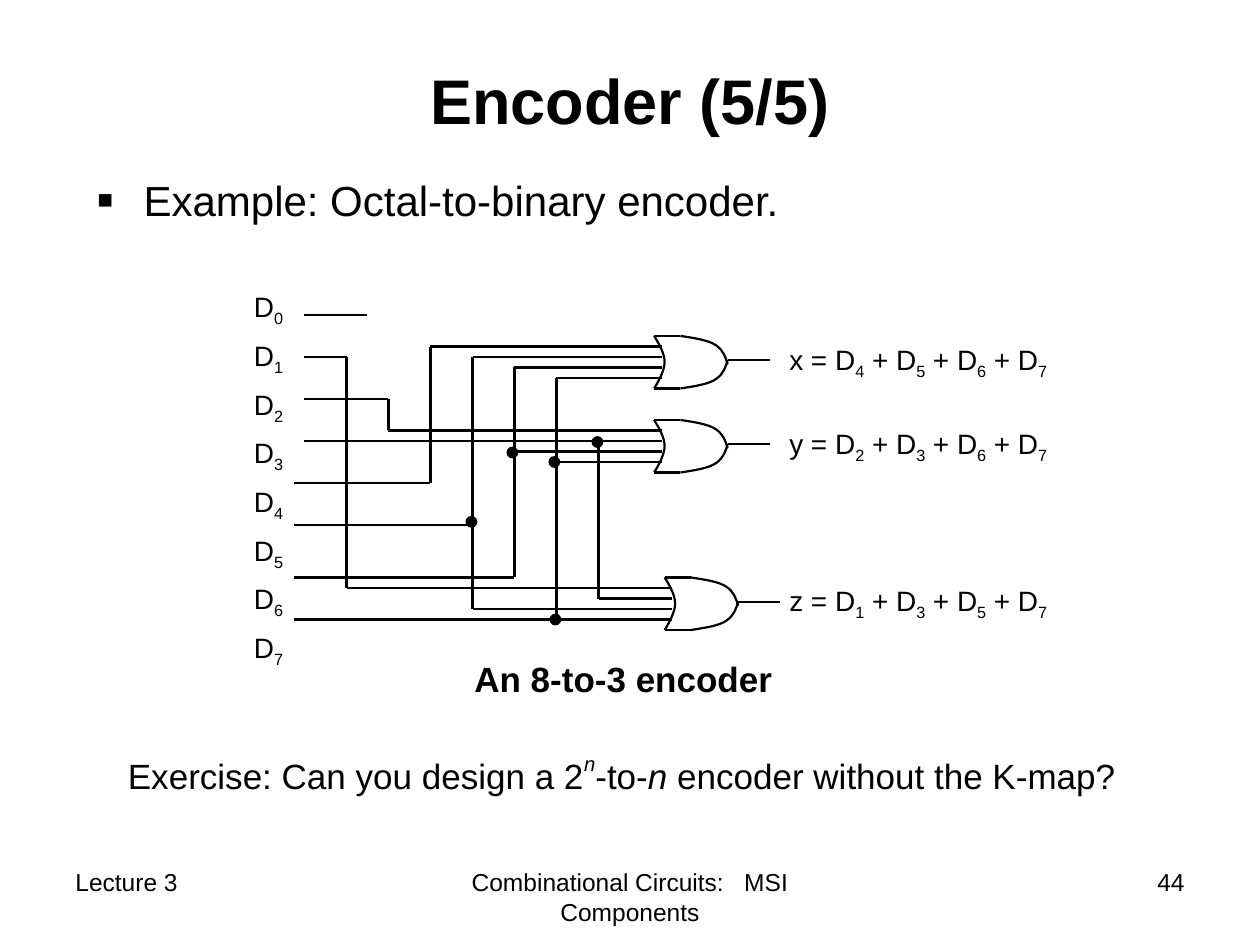
"""Build the octal-to-binary encoder slide with its gate circuit."""
import itertools

import lxml.etree
import pptx
import pptx.dml.color
import pptx.enum.shapes
import pptx.enum.text
import pptx.oxml.ns
import pptx.util

PX = 7620
THEME = {
    "ink": pptx.dml.color.RGBColor(0, 0, 0),
    "font": "Arial",
    "title": 36,
    "body": 24,
    "note": 20,
    "label": 16,
    "footer": 14,
    "wire": 1.25,
    "dot": 0.75,
}
ALIGN = pptx.enum.text.PP_ALIGN
SUBSCRIPT = {"baseline": -25000}


def add_text(slide, box, size, paragraphs, align=ALIGN.LEFT, gap=0, bold=False):
    shape = slide.shapes.add_textbox(*(value * PX for value in box))
    frame = shape.text_frame
    frame.word_wrap = True
    for index, parts in enumerate(paragraphs):
        paragraph = frame.paragraphs[0] if index == 0 else frame.add_paragraph()
        paragraph.alignment = align
        if index:
            paragraph.space_before = pptx.util.Pt(gap)
        for text, extra in parts:
            run = paragraph.add_run()
            run.text = text
            formats = {"name": THEME["font"], "size": pptx.util.Pt(THEME[size]),
                       "bold": bold, "italic": extra.get("italic", False)}
            for name, value in formats.items():
                setattr(run.font, name, value)
            run.font.color.rgb = THEME["ink"]
            if "baseline" in extra:
                run.font._element.set("baseline", str(extra["baseline"]))
    return frame


def add_curve(slide, left, top, points):
    vertices = [((left + x) * PX, (top + y) * PX) for x, y in points]
    builder = slide.shapes.build_freeform(*vertices[0])
    builder.add_line_segments(vertices[1:], close=False)
    curve = builder.convert_to_shape()
    segments = list(curve._element.iter(pptx.oxml.ns.qn("a:lnTo")))
    for first in range(0, len(segments), 3):
        bezier = lxml.etree.Element(pptx.oxml.ns.qn("a:cubicBezTo"))
        segments[first].addprevious(bezier)
        for segment in segments[first:first + 3]:
            bezier.append(segment[0])
            segment.getparent().remove(segment)
    curve.shadow.inherit = False
    curve.fill.background()
    curve.line.color.rgb = THEME["ink"]
    curve.line.width = pptx.util.Pt(THEME["wire"])


presentation = pptx.Presentation()
presentation.slide_width = 1200 * PX
presentation.slide_height = 900 * PX
slide = presentation.slides.add_slide(presentation.slide_layouts[6])

footers = [
    ((60, 820, 280, 62), "Lecture 3", ALIGN.LEFT),
    ((410, 820, 380, 62), "Combinational Circuits:   MSI Components", ALIGN.CENTER),
    ((860, 820, 280, 62), "44", ALIGN.RIGHT),
]
for box, text, align in footers:
    add_text(slide, box, "footer", [[(text, {})]], align)

title = add_text(slide, (90, 20, 1020, 150), "title", [[("Encoder (5/5)", {})]], ALIGN.CENTER, bold=True)
title.vertical_anchor = pptx.enum.text.MSO_ANCHOR.MIDDLE

body = add_text(slide, (80, 160, 1020, 80), "body", [[("Example: Octal-to-binary encoder.", {})]])
properties = body.paragraphs[0]._p.get_or_add_pPr()
properties.set("marL", str(45 * PX))
properties.set("indent", str(-45 * PX))
bullet_color = lxml.etree.SubElement(properties, pptx.oxml.ns.qn("a:buClr"))
lxml.etree.SubElement(bullet_color, pptx.oxml.ns.qn("a:srgbClr")).set("val", str(THEME["ink"]))
for tag, name, value in (("a:buSzPct", "val", "120000"),
                         ("a:buFont", "typeface", THEME["font"]),
                         ("a:buChar", "char", "▪")):
    lxml.etree.SubElement(properties, pptx.oxml.ns.qn(tag)).set(name, value)

exercise = [
    ("Exercise: Can you design a 2", {}),
    ("n", {"italic": True, "baseline": 50000}),
    ("-to-", {}),
    ("n", {"italic": True}),
    (" encoder without the K-map?", {}),
]
add_text(slide, (110, 710, 980, 55), "note", [exercise])
add_text(slide, (440, 620, 310, 53), "note", [[("An 8-to-3 encoder", {})]], bold=True)

inputs = [[("D", {}), (str(digit), SUBSCRIPT)] for digit in range(8)]
add_text(slide, (230, 270, 58, 373), "label", inputs, gap=6)

wires = [
    [(290, 300), (350, 300)],
    [(290, 340), (330, 340), (330, 560), (640, 560)],
    [(290, 380), (370, 380), (370, 410), (630, 410)],
    [(290, 420), (630, 420)],
    [(570, 420), (570, 570), (640, 570)],
    [(280, 460), (410, 460), (410, 330), (630, 330)],
    [(280, 500), (450, 500)],
    [(630, 340), (450, 340), (450, 580), (640, 580)],
    [(280, 550), (490, 550), (490, 350), (630, 350)],
    [(490, 430), (630, 430)],
    [(280, 590), (640, 590)],
    [(530, 590), (530, 360), (630, 360)],
    [(530, 440), (630, 440)],
]

back = [(0, 0), (5, 8), (10, 17), (10, 25), (10, 34), (2, 47), (0, 50)]
upper = [(25, 0), (38, 2), (52, 4), (59, 9), (66, 14), (68, 20), (70, 27)]
lower = [(x, 50 - y) for x, y in upper]
gates = [("x", "4567", 623, 320), ("y", "2367", 623, 400), ("z", "1357", 633, 550)]
for output, digits, left, top in gates:
    for curve in (back, upper, lower):
        add_curve(slide, left, top, curve)
    for edge in (top, top + 50):
        wires.append([(left, edge), (left + 25, edge)])
    wires.append([(left + 70, top + 23), (left + 110, top + 23)])
    equation = []
    for index, digit in enumerate(digits):
        equation += [(" + D" if index else f"{output} = D", {}), (digit, SUBSCRIPT)]
    add_text(slide, (740, top, 310, 49), "label", [equation])

for wire in wires:
    for start, end in itertools.pairwise(wire):
        connector = slide.shapes.add_connector(
            pptx.enum.shapes.MSO_CONNECTOR.STRAIGHT, *(value * PX for value in start + end))
        connector.line.color.rgb = THEME["ink"]
        connector.line.width = pptx.util.Pt(THEME["wire"])
        lxml.etree.SubElement(connector._element.spPr, pptx.oxml.ns.qn("a:effectLst"))

for left, top in ((444, 492), (483, 426), (523, 435), (524, 585), (564, 416)):
    dot = slide.shapes.add_shape(
        pptx.enum.shapes.MSO_SHAPE.OVAL, left * PX, top * PX, 10 * PX, 10 * PX)
    dot.shadow.inherit = False
    dot.fill.solid()
    dot.fill.fore_color.rgb = THEME["ink"]
    dot.line.color.rgb = THEME["ink"]
    dot.line.width = pptx.util.Pt(THEME["dot"])

presentation.save("out.pptx")
